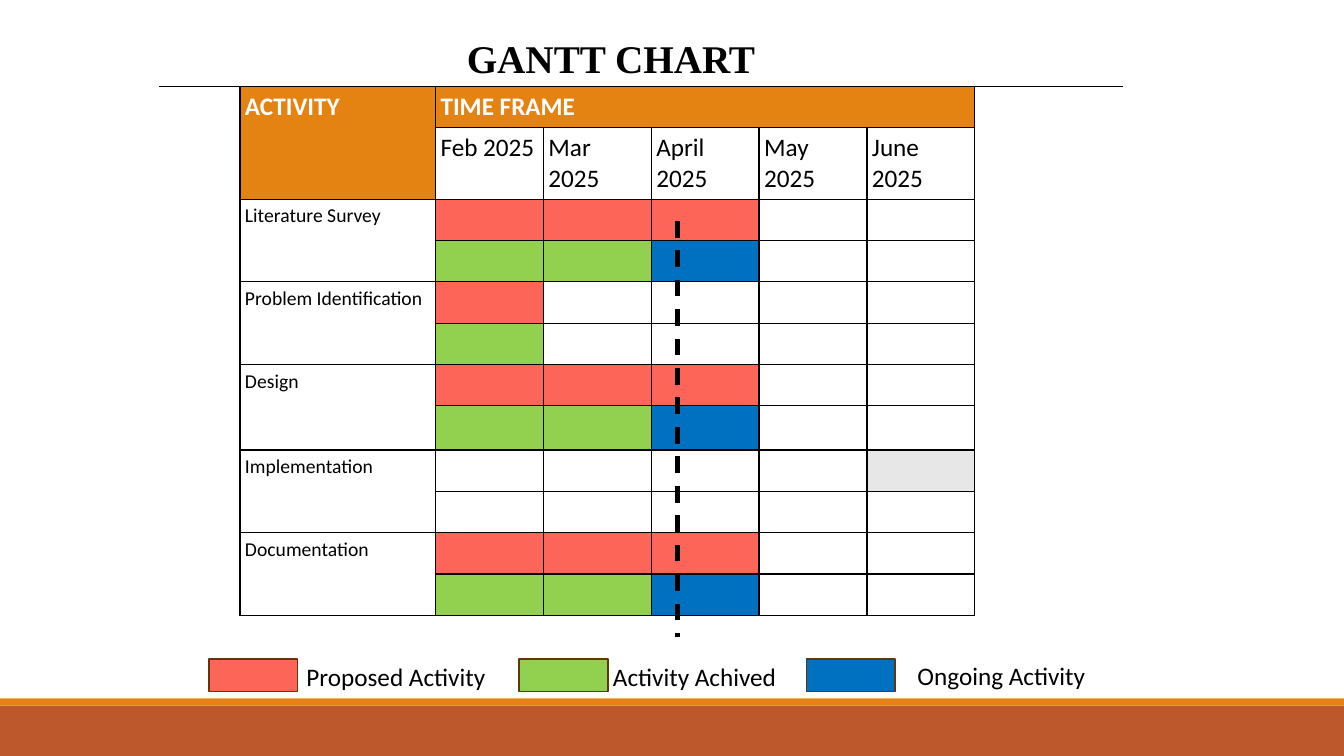
"""Build a project Gantt chart slide with a month grid and a colour legend."""
from lxml import etree
from pptx import Presentation
from pptx import util as u
from pptx.dml.color import RGBColor
from pptx.enum import dml, shapes, text
from pptx.oxml.ns import qn

TITLE = "GANTT CHART"
HEADINGS = ("ACTIVITY", "TIME FRAME")
MONTHS = ("Feb 2025", "Mar 2025", "April 2025", "May 2025", "June 2025")
ACTIVITIES = (
    ("Literature Survey", "PPP--", "AAO--"),
    ("Problem Identification", "P----", "A----"),
    ("Design", "PPP--", "AAO--"),
    ("Implementation", "----I", "-----"),
    ("Documentation", "PPP--", "AAO--"),
)
LEGEND = (
    ("P", "Proposed Activity", 2.07, 2.99, 6.51, 2.3),
    ("A", "Activity Achived", 5.15, 6.03, 6.51, 1.96),
    ("O", "Ongoing Activity", 8, 9.05, 6.5, 1.96),
)
THEME = {
    "status": {"P": "FD6559", "A": "92D050", "O": "0070C0", "I": "E7E7E7", "-": "FFFFFF"},
    "accent": "E48312", "footer": "BD582C", "swatch_line": "603708",
    "ink": "000000", "paper": "FFFFFF",
    "body_font": "Calibri", "title_font": "Times New Roman",
    "title": 28, "body": 18, "activity": 14,
}
INSET = u.Inches(0.05)
ACTIVITY_WIDTH, MONTH_WIDTH = 1.94, 1.07
HEADING_HEIGHT, ROW_HEIGHT, TALL_ROW_HEIGHT, TALL_ROW = 0.38, 0.41, 0.44, 7


def rgb(value):
    return RGBColor.from_string(value)


def write(frame, wording, size, color=THEME["ink"], bold=False, font=THEME["body_font"]):
    frame.text = wording
    style = frame.paragraphs[0].runs[0].font
    style.size, style.bold, style.name = u.Pt(size), bold, font
    style.color.rgb = rgb(color)


def set_insets(holder):
    holder.margin_left = holder.margin_right = INSET
    holder.margin_top = holder.margin_bottom = INSET


def add_label(slide, wording, left, top, width, height, size, **style):
    frame = slide.shapes.add_textbox(*map(u.Inches, (left, top, width, height))).text_frame
    frame.word_wrap = True
    frame.auto_size = text.MSO_AUTO_SIZE.SHAPE_TO_FIT_TEXT
    set_insets(frame)
    write(frame, wording, size, **style)


def add_block(slide, left, top, width, height, color, outline=None):
    block = slide.shapes.add_shape(
        shapes.MSO_SHAPE.RECTANGLE, *map(u.Inches, (left, top, width, height)))
    block.shadow.inherit = False
    block.fill.solid()
    block.fill.fore_color.rgb = rgb(color)
    if outline:
        block.line.color.rgb = rgb(outline)
        block.line.width = u.Pt(1.25)
    else:
        block.line.fill.background()


def add_rule(slide, start, end, weight, dash=None):
    rule = slide.shapes.add_connector(
        shapes.MSO_CONNECTOR.STRAIGHT, *map(u.Inches, start + end))
    rule.line.color.rgb = rgb(THEME["ink"])
    rule.line.width = u.Pt(weight)
    if dash:
        rule.line.dash_style = dash
    etree.SubElement(rule._element.spPr, qn("a:effectLst"))


def paint_cell(cell, color):
    cell.fill.solid()
    cell.fill.fore_color.rgb = rgb(color)
    properties = cell._tc.get_or_add_tcPr()
    for position, side in enumerate(("lnL", "lnR", "lnT", "lnB")):
        border = etree.Element(qn(f"a:{side}"), w=str(u.Pt(1)))
        fill = etree.SubElement(border, qn("a:solidFill"))
        etree.SubElement(fill, qn("a:srgbClr"), val=THEME["ink"])
        properties.insert(position, border)


def write_cell(cell, wording, size, **style):
    set_insets(cell)
    write(cell.text_frame, wording, size, **style)


def add_gantt(slide):
    row_count = 2 + 2 * len(ACTIVITIES)
    heights = [HEADING_HEIGHT] + [ROW_HEIGHT] * (row_count - 1)
    heights[TALL_ROW] = TALL_ROW_HEIGHT
    widths = [ACTIVITY_WIDTH] + [MONTH_WIDTH] * len(MONTHS)
    gantt = slide.shapes.add_table(
        row_count, len(widths),
        *map(u.Inches, (2.38, 0.86, sum(widths), sum(heights)))).table
    gantt.first_row = gantt.horz_banding = False
    for column, width in zip(gantt.columns, widths):
        column.width = u.Inches(width)
    for row, height in zip(gantt.rows, heights):
        row.height = u.Inches(height)

    statuses = [bars for activity in ACTIVITIES for bars in activity[1:]]
    colors = [[THEME["accent"]] * len(widths),
              [THEME["accent"]] + [THEME["paper"]] * len(MONTHS)]
    colors += [[THEME["status"][key] for key in "-" + bars] for bars in statuses]
    for r, row_colors in enumerate(colors):
        for c, color in enumerate(row_colors):
            paint_cell(gantt.cell(r, c), color)

    gantt.cell(0, 0).merge(gantt.cell(1, 0))
    gantt.cell(0, 1).merge(gantt.cell(0, len(MONTHS)))
    for c, heading in enumerate(HEADINGS):
        write_cell(gantt.cell(0, c), heading, THEME["body"], color=THEME["paper"], bold=True)
    for c, month in enumerate(MONTHS, 1):
        write_cell(gantt.cell(1, c), month, THEME["body"])
    for index, (activity, *_) in enumerate(ACTIVITIES):
        first = 2 + 2 * index
        gantt.cell(first, 0).merge(gantt.cell(first + 1, 0))
        write_cell(gantt.cell(first, 0), activity, THEME["activity"])


def main():
    deck = Presentation()
    deck.slide_width, deck.slide_height = u.Inches(13.33), u.Inches(7.5)
    slide = deck.slides.add_slide(deck.slide_layouts[6])
    add_block(slide, 0, 7, 13.33, 0.5, THEME["footer"])
    add_block(slide, 0, 6.93, 13.33, 0.07, THEME["accent"])
    add_gantt(slide)
    add_rule(slide, (1.58, 0.86), (11.14, 0.86), 1)
    add_label(slide, TITLE, 4.58, 0.29, 6.43, 0.53, THEME["title"],
              bold=True, font=THEME["title_font"])
    add_rule(slide, (6.72, 2.19), (6.72, 6.32), 3, dml.MSO_LINE.DASH)
    for status, label, swatch_left, label_left, label_top, label_width in LEGEND:
        add_block(slide, swatch_left, 6.54, 0.88, 0.32,
                  THEME["status"][status], THEME["swatch_line"])
        add_label(slide, label, label_left, label_top, label_width, 0.36, THEME["body"])
    deck.save("out.pptx")


if __name__ == "__main__":
    main()
